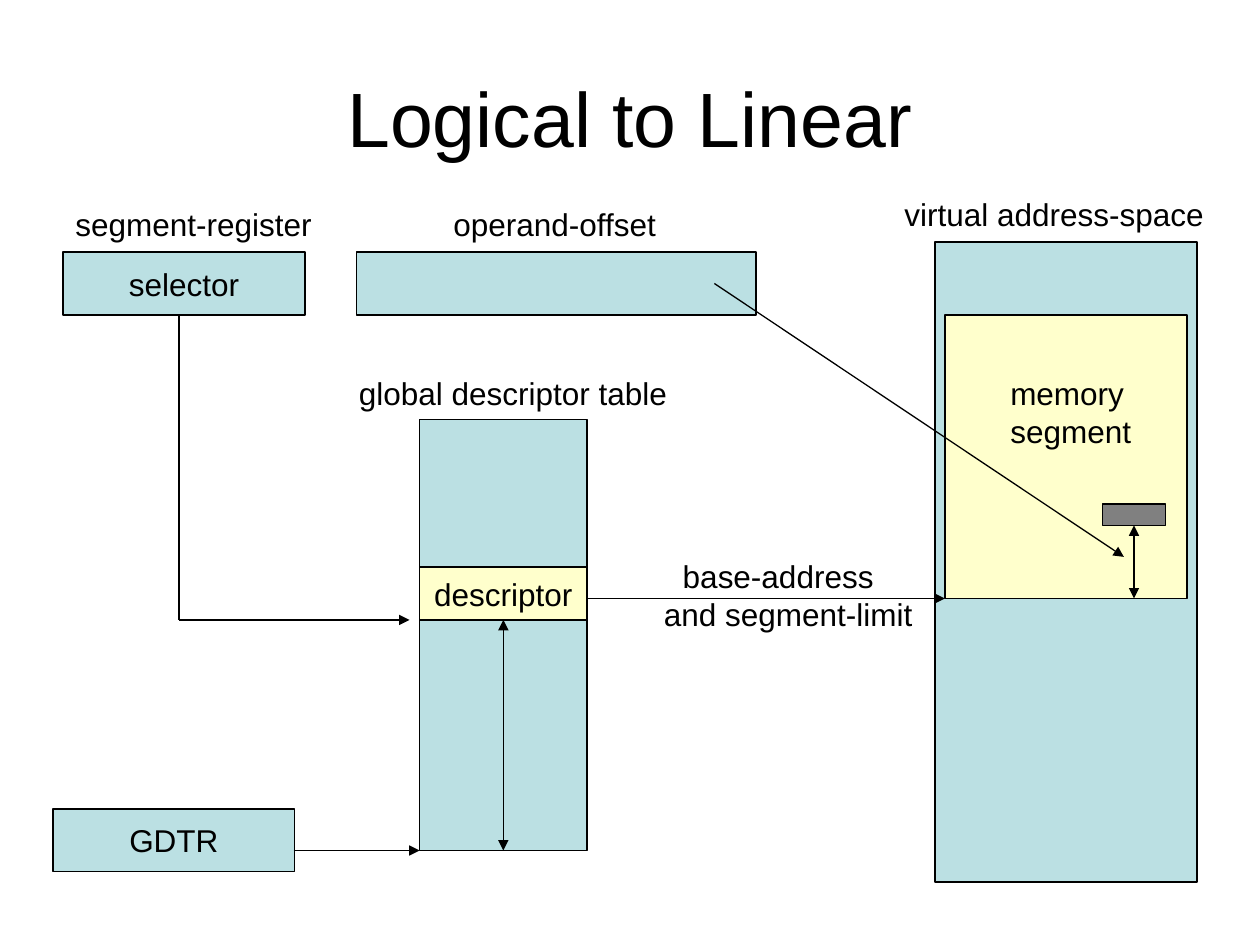
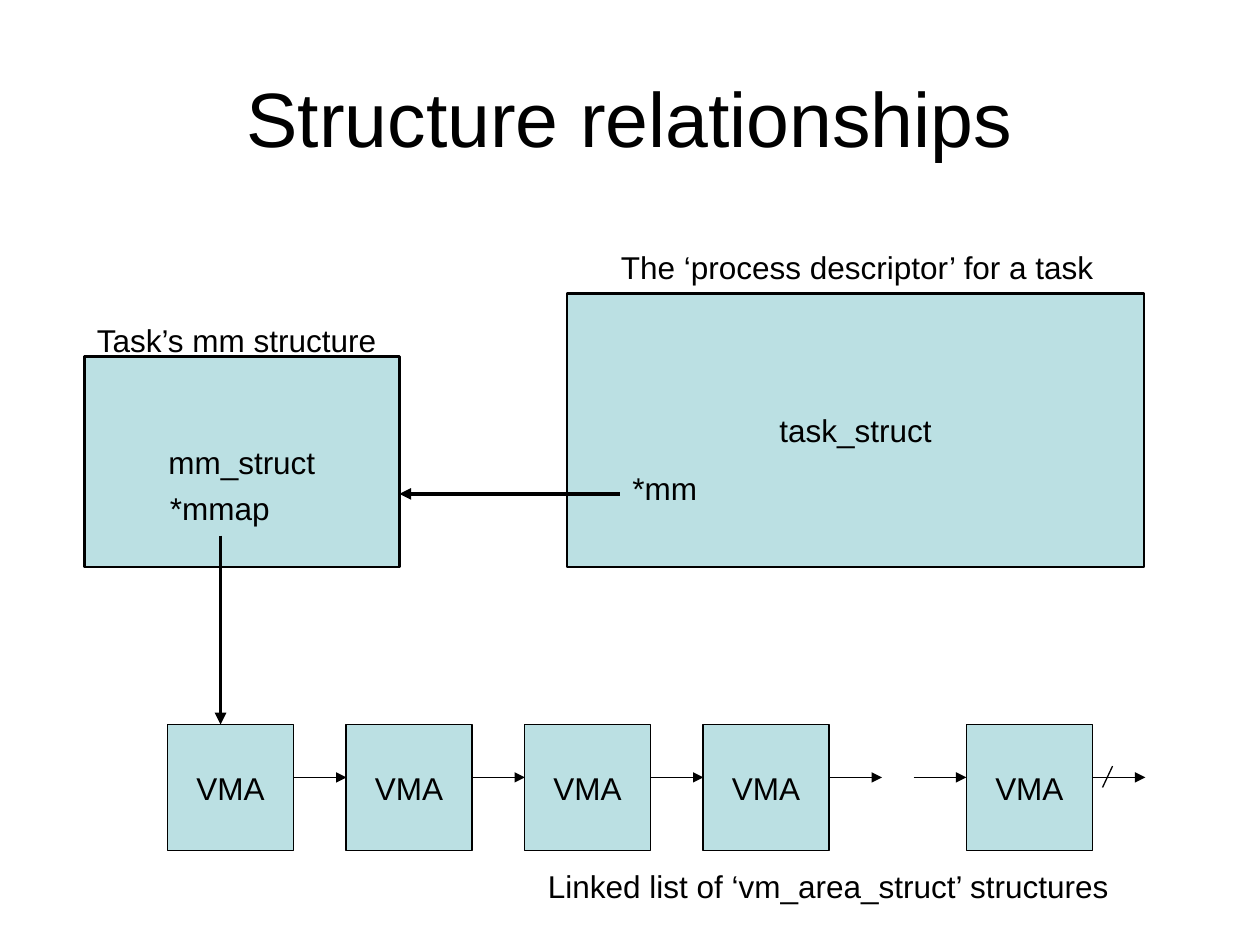
from lxml.etree import SubElement
from pptx import Presentation
from pptx.dml.color import RGBColor
from pptx.enum.shapes import MSO_CONNECTOR, MSO_SHAPE
from pptx.enum.text import MSO_ANCHOR, MSO_AUTO_SIZE, PP_ALIGN
from pptx.oxml.ns import qn
from pptx.util import Inches, Pt

BLACK = RGBColor(0x00, 0x00, 0x00)
WHITE = RGBColor(0xFF, 0xFF, 0xFF)
TEAL = RGBColor(0xBB, 0xE0, 0xE3)
CREAM = RGBColor(0xFF, 0xFF, 0xCC)
GRAY = RGBColor(0x80, 0x80, 0x80)
FONT = "Arial"
BODY_SIZE = 18
TITLE_SIZE = 44
LABEL_HEIGHT = 0.4
THIN, MEDIUM, THICK = 0.75, 1.5, 2.25


def write_lines(frame, lines, size=BODY_SIZE, alignment=PP_ALIGN.LEFT):
    frame.text = "\n".join(lines)
    for paragraph in frame.paragraphs:
        paragraph.alignment = alignment
        paragraph.font.name = FONT
        paragraph.font.size = Pt(size)
        paragraph.font.color.rgb = BLACK


def add_titled_page(deck, title):
    page = deck.slides.add_slide(deck.slide_layouts[5])
    page.background.fill.solid()
    page.background.fill.fore_color.rgb = WHITE
    box = page.shapes.title
    box.left, box.top = Inches(0.5), Inches(0.3)
    box.width, box.height = Inches(9), Inches(1.25)
    frame = box.text_frame
    frame.vertical_anchor = MSO_ANCHOR.MIDDLE
    frame.auto_size = MSO_AUTO_SIZE.NONE
    write_lines(frame, [title], TITLE_SIZE, PP_ALIGN.CENTER)
    return page


def add_block(page, left, top, width, height, text="", fill=TEAL, weight=THIN):
    block = page.shapes.add_shape(
        MSO_SHAPE.RECTANGLE, Inches(left), Inches(top), Inches(width), Inches(height))
    block.shadow.inherit = False
    block.fill.solid()
    block.fill.fore_color.rgb = fill
    block.line.color.rgb = BLACK
    block.line.width = Pt(weight)
    if text:
        frame = block.text_frame
        frame.word_wrap = False
        frame.vertical_anchor = MSO_ANCHOR.MIDDLE
        write_lines(frame, [text], alignment=PP_ALIGN.CENTER)
    return block


def add_label(page, left, top, width, *lines):
    """Add a text box; its narrow right margin keeps each line unbroken."""
    height = LABEL_HEIGHT + 0.3 * (len(lines) - 1)
    label = page.shapes.add_textbox(
        Inches(left), Inches(top), Inches(width), Inches(height))
    frame = label.text_frame
    frame.word_wrap = False
    frame.auto_size = MSO_AUTO_SIZE.SHAPE_TO_FIT_TEXT
    frame.margin_right = Inches(0.05)
    write_lines(frame, lines)


def add_line(page, start, end, ends=("tailEnd",), weight=THIN):
    """Draw a straight line with a triangle at each of the named ends."""
    line = page.shapes.add_connector(
        MSO_CONNECTOR.STRAIGHT, *(Inches(value) for value in (*start, *end)))
    line.line.color.rgb = BLACK
    line.line.width = Pt(weight)
    outline = line.line._get_or_add_ln()
    for end_name in ends:
        SubElement(outline, qn(f"a:{end_name}"), type="triangle")
    SubElement(line._element.spPr, qn("a:effectLst"))
    return line


def add_span_arrow(page, start, end):
    return add_line(page, start, end, ends=("headEnd", "tailEnd"))


def add_address_space(page, left, top):
    add_block(page, left, top, 2.08, 5.08)
    add_label(page, left - 0.34, top - 0.42, 2.57, "virtual address-space")
    add_block(page, left + 0.08, top + 0.58, 1.92, 2.25, fill=CREAM)
    add_label(page, left + 0.5, top + 1, 1.16, "memory", "segment")
    operand = add_block(page, left + 1.33, top + 2.08, 0.5, 0.17, fill=GRAY)
    offset = add_span_arrow(
        page, (left + 1.58, top + 2.25), (left + 1.58, top + 2.83))
    offset.begin_connect(operand, 2)


def add_descriptor_table(page, left, top):
    width = 1.33
    table = add_block(page, left, top, width, 3.42)
    add_label(page, left - 0.58, top - 0.41, 2.64, "global descriptor table")
    descriptor = add_block(page, left, top + 1.17, width, 0.42, "descriptor", CREAM)
    middle = left + width / 2
    index = add_span_arrow(page, (middle, top + 1.59), (middle, top + 3.42))
    index.begin_connect(descriptor, 2)
    index.end_connect(table, 2)


def add_segment_register(page, left, top):
    add_block(page, left, top, 1.92, 0.5, "selector")
    add_label(page, left, top - 0.42, 2.07, "segment-register")
    corner = (left + 0.92, top + 2.92)
    add_line(page, corner, (left + 0.92, top + 0.5), ends=())
    add_line(page, corner, (left + 2.75, top + 2.92))


def add_table_register(page, left, top):
    add_block(page, left, top, 1.92, 0.5, "GDTR")
    add_line(page, (left + 1.91, top + 0.33), (left + 2.91, top + 0.33))


def add_operand_offset(page, left, top):
    add_block(page, left, top, 3.17, 0.5)
    add_label(page, left + 0.67, top - 0.42, 1.81, "operand-offset")
    add_line(page, (left + 2.84, top + 0.25), (left + 6.09, top + 2.42))


def add_base_address_link(page, left, top):
    add_line(page, (left, top), (left + 2.83, top))
    add_label(page, left + 0.65, top - 0.38, 1.71, "base-address")
    add_label(page, left + 0.5, top - 0.08, 2.17, "and segment-limit")


def build_logical_to_linear(deck):
    page = add_titled_page(deck, "Logical to Linear")
    add_address_space(page, 7.42, 1.92)
    add_descriptor_table(page, 3.33, 3.33)
    add_segment_register(page, 0.5, 2)
    add_table_register(page, 0.42, 6.42)
    add_operand_offset(page, 2.83, 2)
    add_base_address_link(page, 4.67, 4.75)


def add_vma_list(page, left, top):
    link, pitch = 0.42, 17 / 12
    link_top = top + 0.42
    last = left + 6.34
    nodes = [left + pitch * index for index in range(4)] + [last]
    for node in nodes:
        add_block(page, node, top, 1, 1, "VMA")
    for start in [node + 1 for node in nodes] + [last - link]:
        add_line(page, (start, link_top), (start + link, link_top))
    add_line(page, (last + 1.16, top + 0.33), (last + 1.08, top + 0.5), ends=())
    add_label(page, left + 2.92, top + 1.08, 4.66,
              "Linked list of ‘vm_area_struct’ structures")


def add_mm_structure(page, left, top):
    add_block(page, left, top, 2.5, 1.67, "mm_struct", weight=MEDIUM)
    add_label(page, left, top - 0.33, 2.45, "Task’s mm structure")
    add_label(page, left + 0.58, top + 1, 0.99, "*mmap")
    add_line(page, (left + 1.08, top + 1.42), (left + 1.08, top + 2.92), weight=THICK)


def add_task_structure(page, left, top):
    add_block(page, left, top, 4.58, 2.17, "task_struct", weight=MEDIUM)
    add_label(page, left + 0.33, top - 0.41, 3.95, "The ‘process descriptor’ for a task")
    add_label(page, left + 0.42, top + 1.34, 0.71, "*mm")
    add_line(page, (left + 0.42, top + 1.59), (left - 1.33, top + 1.59), weight=THICK)


def build_structure_relationships(deck):
    page = add_titled_page(deck, "Structure relationships")
    add_vma_list(page, 1.33, 5.75)
    add_mm_structure(page, 0.67, 2.83)
    add_task_structure(page, 4.5, 2.33)


def main():
    deck = Presentation()
    deck.slide_width, deck.slide_height = Inches(10), Inches(7.5)
    build_logical_to_linear(deck)
    build_structure_relationships(deck)
    deck.save("out.pptx")


if __name__ == "__main__":
    main()
